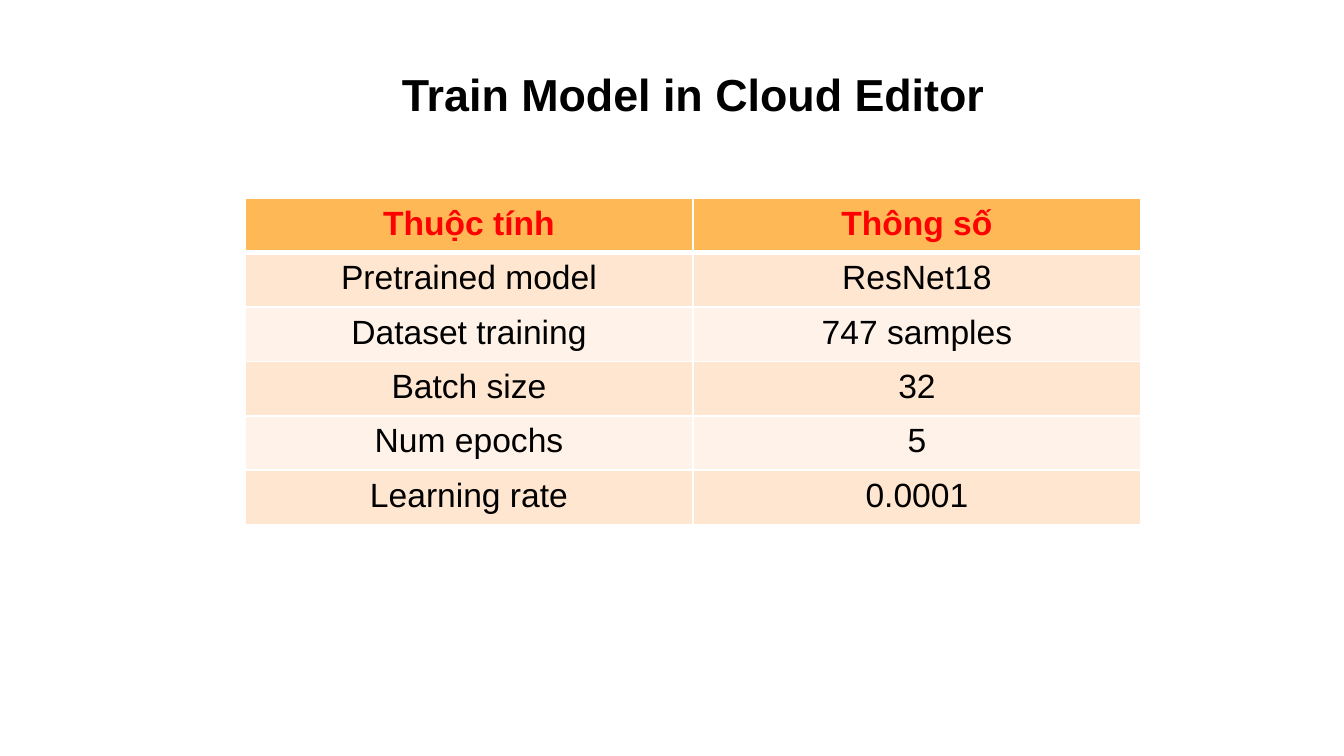
from dataclasses import dataclass

from lxml import etree
from pptx import Presentation
from pptx.dml.color import RGBColor
from pptx.enum.text import MSO_AUTO_SIZE, PP_ALIGN
from pptx.oxml.ns import qn
from pptx.util import Emu, Pt

CENTER = PP_ALIGN.CENTER
GROW = MSO_AUTO_SIZE.SHAPE_TO_FIT_TEXT
PX_PER_INCH = 134.4
BLANK_LAYOUT = 6


@dataclass(frozen=True)
class Theme:
    font: str = "Arial"
    title_size: int = 24
    table_size: int = 18
    text: str = "000000"
    header_text: str = "FF0000"
    header_fill: str = "FEB856"
    bands: tuple = ("FFE6D1", "FFF3E9")
    border: str = "FFFFFF"
    border_width: int = 1
    header_rule: int = 3


def px(length):
    return Emu(round(length * 914400 / PX_PER_INCH))


class SlideBuilder:
    def __init__(self, slide, theme):
        self.slide = slide
        self.theme = theme

    def add_run(self, paragraph, text, size, color, bold=False):
        paragraph.alignment = CENTER
        run = paragraph.add_run()
        run.text = text
        run.font.name = self.theme.font
        run.font.size = Pt(size)
        run.font.bold = bold
        run.font.color.rgb = RGBColor.from_string(color)

    def add_title(self, text, left, top, width, height):
        shape = self.slide.shapes.add_textbox(px(left), px(top), px(width), px(height))
        frame = shape.text_frame
        frame.word_wrap = True
        frame.auto_size = GROW
        self.add_run(frame.paragraphs[0], text, self.theme.title_size, self.theme.text, True)

    def add_borders(self, cell, top, bottom):
        properties = cell._tc.get_or_add_tcPr()
        side = self.theme.border_width
        for tag, width in (("lnL", side), ("lnR", side), ("lnT", top), ("lnB", bottom)):
            line = etree.SubElement(properties, qn(f"a:{tag}"), w=str(Pt(width)))
            fill = etree.SubElement(line, qn("a:solidFill"))
            etree.SubElement(fill, qn("a:srgbClr"), val=self.theme.border)

    def add_table(self, rows, left, top, width, height):
        theme = self.theme
        table = self.slide.shapes.add_table(
            len(rows), len(rows[0]), px(left), px(top), px(width), px(height)
        ).table
        for row_index, values in enumerate(rows):
            header = row_index == 0
            fill = theme.header_fill if header else theme.bands[(row_index - 1) % 2]
            color = theme.header_text if header else theme.text
            # The heavy rule is shared by the header and the first body row
            top_line = theme.header_rule if row_index == 1 else theme.border_width
            bottom_line = theme.header_rule if header else theme.border_width
            for column_index, value in enumerate(values):
                cell = table.cell(row_index, column_index)
                self.add_borders(cell, top_line, bottom_line)
                cell.fill.solid()
                cell.fill.fore_color.rgb = RGBColor.from_string(fill)
                paragraph = cell.text_frame.paragraphs[0]
                self.add_run(paragraph, value, theme.table_size, color, header)


def main():
    presentation = Presentation()
    presentation.slide_width = px(1344)
    presentation.slide_height = px(756)
    slide = presentation.slides.add_slide(presentation.slide_layouts[BLANK_LAYOUT])
    builder = SlideBuilder(slide, Theme())

    # Title
    builder.add_title("Train Model in Cloud Editor", 164, 60, 1058, 67)

    # Training settings
    settings = [
        ("Thuộc tính", "Thông số"),
        ("Pretrained model", "ResNet18"),
        ("Dataset training", "747 samples"),
        ("Batch size", "32"),
        ("Num epochs", "5"),
        ("Learning rate", "0.0001"),
    ]
    builder.add_table(settings, 245, 198, 896, 327)

    presentation.save("out.pptx")


if __name__ == "__main__":
    main()
